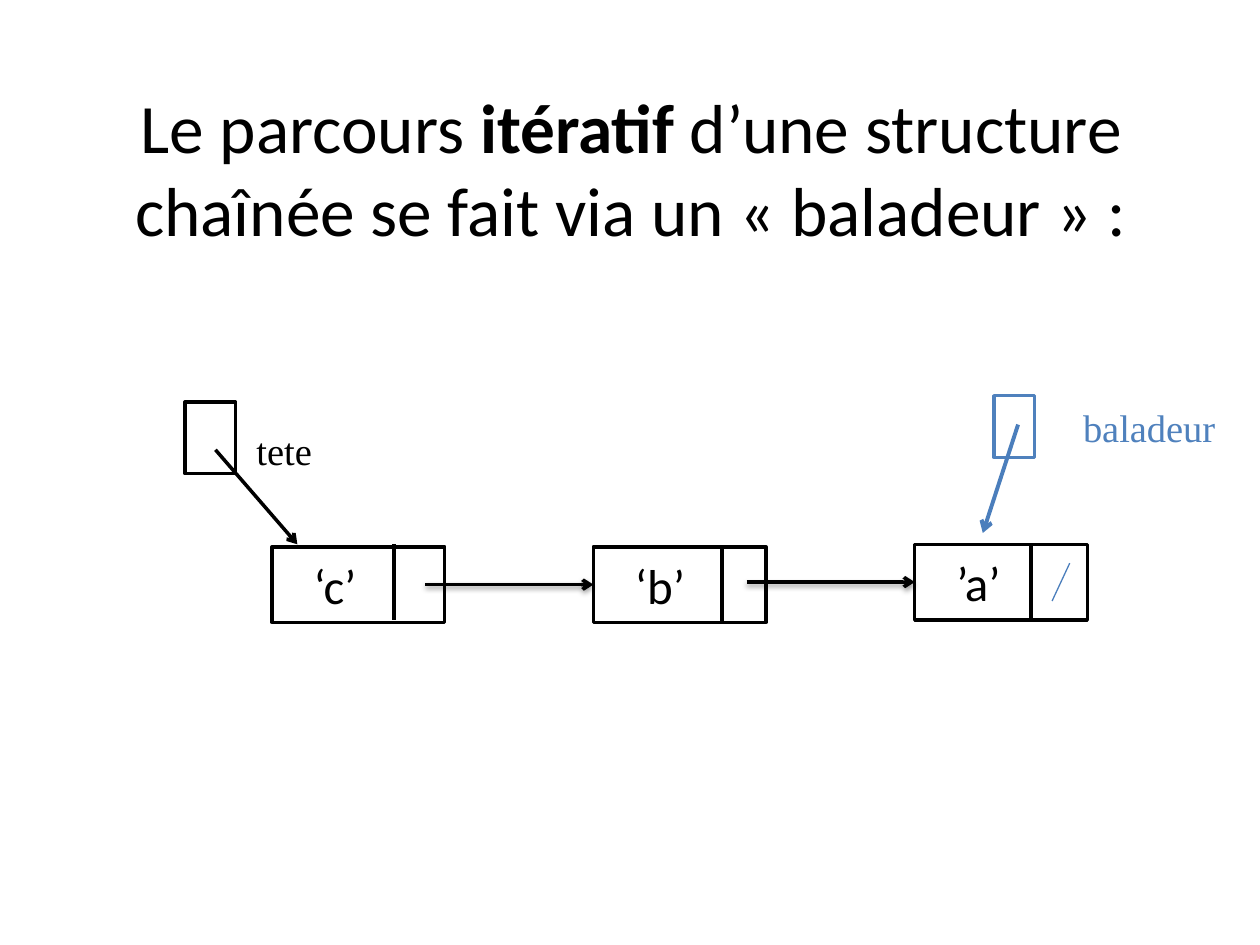
from lxml import etree
from pptx import Presentation
from pptx.dml.color import RGBColor
from pptx.enum.shapes import MSO_CONNECTOR, MSO_SHAPE
from pptx.enum.text import MSO_ANCHOR, PP_ALIGN
from pptx.oxml.ns import qn
from pptx.util import Inches, Pt

RECTANGLE = MSO_SHAPE.RECTANGLE
STRAIGHT = MSO_CONNECTOR.STRAIGHT
MIDDLE, TOP = MSO_ANCHOR.MIDDLE, MSO_ANCHOR.TOP
CENTER, LEFT = PP_ALIGN.CENTER, PP_ALIGN.LEFT
LEFT_SIDE = 1
COLORS = {"ink": "000000", "paper": "FFFFFF", "walker": "4F81BD", "walker_line": "4B7EBC"}

prs = Presentation()
prs.slide_width, prs.slide_height = Inches(10), Inches(7.5)
COL, ROW = prs.slide_width / 100, prs.slide_height / 75
slide = prs.slides.add_slide(prs.slide_layouts[6])


def add_box(col, row, cols, rows, outline=None, text="", font="Calibri", size=28,
            color="ink", indent=0, anchor=TOP):
    """Add a white rectangle; without an outline colour it is a plain label."""
    box = slide.shapes.add_shape(RECTANGLE, int(col * COL), int(row * ROW),
                                 int(cols * COL), int(rows * ROW))
    box.shadow.inherit = False
    box.fill.solid()
    box.fill.fore_color.rgb = RGBColor.from_string(COLORS["paper"])
    if outline:
        box.line.color.rgb = RGBColor.from_string(COLORS[outline])
        box.line.width = Pt(2)
    else:
        box.line.fill.background()
    if text:
        frame = box.text_frame
        frame.text = text
        frame.vertical_anchor = anchor
        frame.margin_left = int(indent * COL)
        frame.paragraphs[0].alignment = LEFT
        run_font = frame.paragraphs[0].runs[0].font
        run_font.name, run_font.size = font, Pt(size)
        run_font.color.rgb = RGBColor.from_string(COLORS[color])
    return box


def add_line(start, end, color="ink", width=2, arrow=False, shadow=False):
    """Add a straight line between two (column, row) points."""
    line = slide.shapes.add_connector(STRAIGHT, int(start[0] * COL), int(start[1] * ROW),
                                      int(end[0] * COL), int(end[1] * ROW))
    line.line.color.rgb = RGBColor.from_string(COLORS[color])
    line.line.width = Pt(width)
    if arrow:
        etree.SubElement(line.line._get_or_add_ln(), qn("a:tailEnd"), type="arrow")
    effects = etree.SubElement(line._element.spPr, qn("a:effectLst"))
    if shadow:
        cast = etree.SubElement(effects, qn("a:outerShdw"), blurRad=str(Pt(3.1)),
                                dist=str(Pt(1.6)), dir="5400000", rotWithShape="0")
        shade = etree.SubElement(cast, qn("a:srgbClr"), val=COLORS["ink"])
        etree.SubElement(shade, qn("a:alpha"), val="38000")
    return line


# Title
title = slide.shapes.add_textbox(int(5.1 * COL), int(7 * ROW), int(90 * COL), int(12.5 * ROW))
title.text_frame.word_wrap = True
title.text_frame.vertical_anchor = MIDDLE
heading = title.text_frame.paragraphs[0]
heading.alignment = CENTER
for words, bold in [("Le parcours ", False), ("itératif ", True),
                    ("d’une structure chaînée se fait via un « baladeur » :", False)]:
    run = heading.add_run()
    run.text = words
    run.font.name, run.font.size, run.font.bold = "Calibri", Pt(39.6), bold
    run.font.color.rgb = RGBColor.from_string(COLORS["ink"])

# Chained cells: value, left column, top row, column and top row of the divider
NODE_COLS, NODE_ROWS = 13.7, 6
nodes = []
for value, col, row, divider, divider_row in [("‘c’", 21.6, 43.4, 31.3, 43.2),
                                              ("‘b’", 47.1, 43.4, 57.3, 43.4),
                                              ("’a’", 72.6, 43.2, 81.8, 43.2)]:
    nodes.append(add_box(col, row, NODE_COLS, NODE_ROWS, "ink", value,
                         indent=3.3, anchor=MIDDLE))
    add_line((divider, divider_row), (divider, divider_row + NODE_ROWS), width=2.25)

# Links from each cell to the next, and the end mark of the last one
LINK_COLS = 13.35
for following in nodes[1:]:
    col = following.left / COL
    row = (following.top + following.height / 2) / ROW
    link = add_line((col - LINK_COLS, row), (col, row), arrow=True, shadow=True)
    link.end_connect(following, LEFT_SIDE)
add_line((84.9, 44.7), (83.5, 47.7), "walker_line", 0.75)

# Head pointer
add_box(18.6, 33.4, 17.1, 4.9, text="tete", font="Times New Roman", size=22, indent=1.75)
add_box(14.7, 31.9, 4, 5.7, "ink")
add_line((17.1, 35.7), (23.6, 43.2), arrow=True)

# Walking pointer
add_box(78.9, 31.4, 3.2, 4.9, "walker")
add_line((80.8, 33.7), (78, 42.3), "walker_line", 2.25, arrow=True)
add_box(84.2, 31.6, 15.1, 4.2, text="baladeur", font="Times New Roman", size=22,
        color="walker", indent=1.75)

prs.save("out.pptx")
